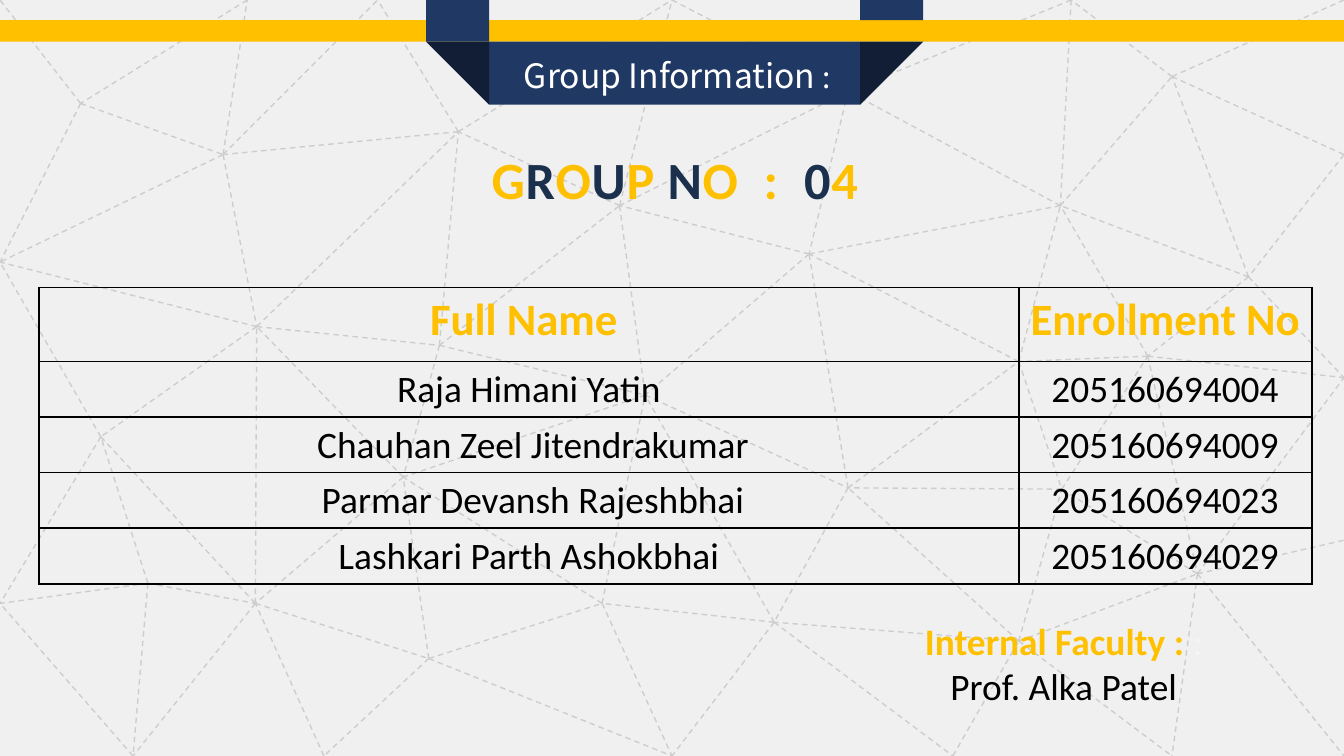
"""Build the group information slide with a ribbon, a member table and a dashed mesh."""
from typing import NamedTuple

from lxml.etree import SubElement
from pptx import Presentation
from pptx.dml.color import RGBColor
from pptx.enum.dml import MSO_LINE
from pptx.enum.shapes import MSO_CONNECTOR, MSO_SHAPE
from pptx.enum.text import PP_ALIGN
from pptx.oxml.ns import qn
from pptx.util import Inches, Pt

WIDTH = 10
HEIGHT = WIDTH * 9 / 16
GOLD, NAVY, SHADE, INK = "FFC000", "203864", "111E35", "1A304D"
BLACK, WHITE, PAPER, MESH = "000000", "FFFFFF", "F0F0F0", "CDCDCD"
FOLD, BAR_TOP, BAR_BOTTOM = 0.47, 0.15, 0.31
RIBBON_LEFT, RIBBON_RIGHT = 3.64, 6.4


class Box(NamedTuple):
    left: float
    top: float
    width: float
    height: float


class Panel(NamedTuple):
    box: Box
    color: str
    kind: MSO_SHAPE = MSO_SHAPE.RECTANGLE
    rotation: int = 0


class Piece(NamedTuple):
    text: str
    color: str
    size: float
    bold: bool = False
    font: str = "Calibri"
    spacing: float = 0


class Member(NamedTuple):
    name: str
    enrollment: str


NODES = {
    "A": (0, 0), "B": (1.84, 0), "C": (2.81, 0), "D": (5, 0), "E": (6.61, 0),
    "F": (7.97, 0), "G": (10, 0), "H": (0.6, 0.77), "I": (1.66, 1.15),
    "J": (3.41, 0.98), "K": (4.61, 1.53), "L": (6.31, 0.68), "M": (8.72, 0.57),
    "N": (10, 1.15), "O": (0, 1.95), "P": (1.91, 2.43), "Q": (3.27, 2.57),
    "R": (4.8, 2.94), "S": (6.02, 1.89), "T": (7.89, 1.53), "U": (9.29, 2.06),
    "V": (0.75, 3.25), "W": (3, 3.55), "X": (6.31, 3.63), "Y": (7.58, 2.69),
    "Z": (8.54, 2.65), "a": (10, 2.81), "b": (7.9, 3.64), "c": (0, 4.49),
    "d": (1.1, 4.34), "e": (1.9, 4.49), "f": (3.19, 4.9), "g": (4.48, 4.49),
    "h": (5.76, 4.63), "i": (7.58, 4.77), "j": (8.91, 4.27), "k": (10, 4.02),
    "l": (0.99, HEIGHT), "m": (2.41, HEIGHT), "n": (5, HEIGHT),
    "o": (7.09, HEIGHT), "p": (8.72, HEIGHT), "q": (10, HEIGHT),
}
EDGES = """
    IB IO IC JI IP PJ PO PQ QW WP We eP PV Ve VO Vc dc el lc ef fW fm me fg fn
    gn gW gR RW QR QJ QK KR KJ JC JD KD DL LK LS SK SR RX XS Xh hg hn LE TL TS
    XY YT Yb bX iX ho oi ih ib ip ZT TM MF MG MN NU UM UT UZ Ua bj ja jq jp YS
    bZ Za ZY Zj FT hR dV de dl ij jk BH HI HO HA FL
""".split()
RIBBON = [
    Panel(Box(0, BAR_TOP, WIDTH, BAR_BOTTOM - BAR_TOP), GOLD),
    Panel(Box(RIBBON_LEFT, BAR_BOTTOM, RIBBON_RIGHT - RIBBON_LEFT, FOLD), NAVY),
    Panel(Box(RIBBON_RIGHT, BAR_BOTTOM, FOLD, FOLD), SHADE, MSO_SHAPE.RIGHT_TRIANGLE, 90),
    Panel(Box(RIBBON_RIGHT, 0, FOLD, BAR_TOP), NAVY),
    Panel(Box(RIBBON_LEFT - FOLD, BAR_BOTTOM, FOLD, FOLD), SHADE, MSO_SHAPE.RIGHT_TRIANGLE, 180),
    Panel(Box(RIBBON_LEFT - FOLD, 0, FOLD, BAR_BOTTOM), NAVY),
]
HEADER = Member("Full Name ", "Enrollment No")
MEMBERS = [
    Member("Raja Himani Yatin", "205160694004"),
    Member(" Chauhan Zeel Jitendrakumar", "205160694009"),
    Member(" Parmar Devansh Rajeshbhai", "205160694023"),
    Member("Lashkari Parth Ashokbhai", "205160694029"),
]
GROUP_LETTERS = ["G", "R", "O", "U", "P ", "N", "O  :  ", "0", "4"]


def rgb(color: str) -> RGBColor:
    """Turn a hex string into a colour."""
    return RGBColor.from_string(color)


def inches(values) -> list:
    """Turn numbers into lengths."""
    return [Inches(value) for value in values]


def draw_panel(shapes, panel: Panel) -> None:
    """Draw a flat filled shape."""
    shape = shapes.add_shape(panel.kind, *inches(panel.box))
    shape.rotation = panel.rotation
    shape.shadow.inherit = False
    shape.fill.solid()
    shape.fill.fore_color.rgb = rgb(panel.color)
    shape.line.fill.background()


def draw_mesh(shapes) -> None:
    """Draw the dashed lines between the nodes as one group."""
    mesh = shapes.add_group_shape()
    for start, end in EDGES:
        points = inches(NODES[start] + NODES[end])
        connector = mesh.shapes.add_connector(MSO_CONNECTOR.STRAIGHT, *points)
        connector.line.color.rgb = rgb(MESH)
        connector.line.width = Pt(0.75)
        connector.line.dash_style = MSO_LINE.DASH
        SubElement(connector._element.spPr, qn("a:effectLst"))


def write_pieces(paragraph, pieces: list[Piece], alignment=PP_ALIGN.CENTER) -> None:
    """Fill a paragraph with formatted runs."""
    paragraph.alignment = alignment
    for piece in pieces:
        run = paragraph.add_run()
        run.text = piece.text
        run.font.name = piece.font
        run.font.size = Pt(piece.size)
        run.font.bold = piece.bold
        run.font.color.rgb = rgb(piece.color)
        properties = run._r.get_or_add_rPr()
        if piece.spacing:
            properties.set("spc", str(round(piece.spacing * 100)))
        SubElement(properties, qn("a:ea"), typeface=piece.font)


def draw_text(shapes, box: Box, lines: list[list[Piece]], alignment=PP_ALIGN.CENTER) -> None:
    """Draw a text box with one paragraph per line."""
    text_frame = shapes.add_textbox(*inches(box)).text_frame
    text_frame.word_wrap = True
    for index, pieces in enumerate(lines):
        paragraph = text_frame.add_paragraph() if index else text_frame.paragraphs[0]
        write_pieces(paragraph, pieces, alignment)


def format_cell(cell) -> None:
    """Give a cell black borders, small margins and no fill."""
    properties = cell._tc.get_or_add_tcPr()
    for side in ("lnL", "lnR", "lnT", "lnB"):
        line = SubElement(properties, qn(f"a:{side}"), w=str(Pt(1)))
        SubElement(SubElement(line, qn("a:solidFill")), qn("a:srgbClr"), val=BLACK)
    cell.fill.background()
    cell.margin_left = cell.margin_right = Inches(0.07)
    cell.margin_top = cell.margin_bottom = Inches(0.04)


def draw_members(shapes, box: Box) -> None:
    """Draw the table of names and enrollment numbers."""
    rows = [HEADER, *MEMBERS]
    table = shapes.add_table(len(rows), len(HEADER), *inches(box)).table
    table.first_row = table.horz_banding = False
    for column, width in zip(table.columns, (7.29, 2.18)):
        column.width = Inches(width)
    for row_index, member in enumerate(rows):
        is_header = row_index == 0
        table.rows[row_index].height = Inches(0.55 if is_header else 0.39)
        color, size = (GOLD, 24) if is_header else (BLACK, 20)
        for column_index, text in enumerate(member):
            cell = table.cell(row_index, column_index)
            format_cell(cell)
            write_pieces(cell.text_frame.paragraphs[0], [Piece(text, color, size, is_header)])


def main() -> None:
    """Build and save the presentation."""
    presentation = Presentation()
    presentation.slide_width, presentation.slide_height = inches((WIDTH, HEIGHT))
    shapes = presentation.slides.add_slide(presentation.slide_layouts[6]).shapes
    draw_panel(shapes, Panel(Box(0, 0, WIDTH, HEIGHT), PAPER))
    draw_mesh(shapes)
    for panel in RIBBON:
        draw_panel(shapes, panel)
    title = [Piece(text, WHITE, size, font="Noto Sans CJK SC")
             for text, size in (("Group Information ", 18), (":", 16))]
    draw_text(shapes, Box(3.8, 0.36, 2.6, 0.4), [title], PP_ALIGN.LEFT)
    letters = [Piece(text, INK if index % 2 else GOLD, 28, True, spacing=0.4)
               for index, text in enumerate(GROUP_LETTERS)]
    draw_text(shapes, Box(2.67, 1.05, 4.7, 0.57), [letters])
    draw_members(shapes, Box(0.29, 2.14, 9.47, 2.18))
    faculty = [Piece("Internal Faculty : ", GOLD, 20, True), Piece(":", "F5F5F5", 20)]
    draw_text(shapes, Box(6.77, 4.55, 2.29, 0.77),
              [faculty, [Piece("Prof. Alka Patel", BLACK, 20)]])
    presentation.save("out.pptx")


if __name__ == "__main__":
    main()
